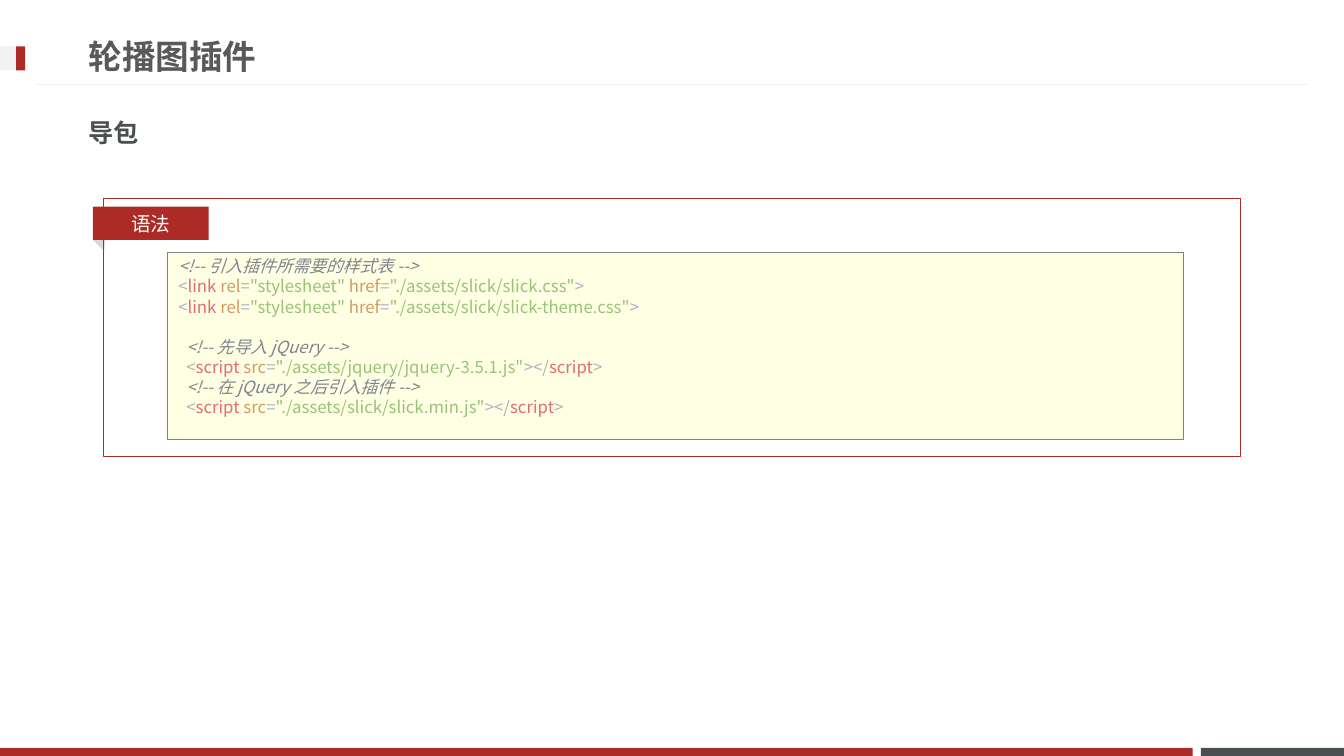
"""Builds the slide on importing the packages of a carousel plugin."""
from lxml import etree
from pptx import Presentation
from pptx.dml.color import RGBColor
from pptx.enum.shapes import MSO_CONNECTOR, MSO_SHAPE
from pptx.enum.text import MSO_ANCHOR as Anchor, PP_ALIGN as Align
from pptx.oxml.ns import qn
from pptx.util import Inches, Pt

RED, SLATE, PALE = "AD2B26", "49504F", "F2F2F2"
LATIN, CJK = "Calibri", "Noto Sans CJK JP"
PUNCTUATION, COMMENT, TAG, ATTRIBUTE, STRING = "ABB2BF", "7F848E", "E06C75", "D19A66", "98C379"


def block(place, fill=None, line=None, width=0.75, kind=MSO_SHAPE.RECTANGLE):
    shape = slide.shapes.add_shape(kind, *map(Inches, place))
    shape.shadow.inherit = False
    for paint, color in ((shape.fill, fill), (shape.line.fill, line)):
        if color:
            paint.solid()
            paint.fore_color.rgb = RGBColor.from_string(color)
        else:
            paint.background()
    if line:
        shape.line.width = Pt(width)
    return shape


def style(run, size, color, face, bold=False, italic=False):
    font = run.font
    font.size, font.name, font.bold, font.italic = Pt(size), face, bold, italic
    font.color.rgb = RGBColor.from_string(color)
    etree.SubElement(run._r.get_or_add_rPr(), qn("a:ea"), typeface=CJK)


deck = Presentation()
deck.slide_width, deck.slide_height = Inches(13.33), Inches(7.5)
slide = deck.slides.add_slide(deck.slide_layouts[6])

block((11.91, 7.42, 1.42, 0.08), SLATE)
block((0, 7.42, 11.83, 0.08), RED)
title_rule = slide.shapes.add_connector(
    MSO_CONNECTOR.STRAIGHT, Inches(12.98), Inches(0.84), Inches(0.35), Inches(0.84))
title_rule.line.color.rgb = RGBColor.from_string(PALE)
title_rule.line.width = Pt(0.75)
etree.SubElement(title_rule._element.spPr, qn("a:effectLst"))
block((0, 0.46, 0.25, 0.24), PALE)
block((0.16, 0.46, 0.09, 0.24), RED)

for wording, place, size, color, face in (
    ("轮播图插件", (0.78, 0.27, 9.59, 0.57), 24, "595959", LATIN),
    ("导包", (0.78, 1.03, 11.76, 0.57), 18, SLATE, CJK),
):
    heading = slide.shapes.add_textbox(*map(Inches, place)).text_frame
    heading.word_wrap = True
    heading.vertical_anchor = Anchor.MIDDLE
    heading.text = wording
    style(heading.paragraphs[0].runs[0], size, color, face, bold=True)

block((1.66, 2.5, 10.08, 1.86), "FFFFE4", "808080", 0.25)
fold = block((0.93, 2.36, 0.16, 0.09), "D9D9D9", kind=MSO_SHAPE.ISOSCELES_TRIANGLE)
fold.rotation = 44.2
block((1.03, 1.97, 11.27, 2.56), line=RED)
syntax_tab = block((0.92, 2.05, 1.15, 0.33), RED).text_frame
syntax_tab.vertical_anchor = Anchor.MIDDLE
syntax_tab.text = "语法"
syntax_tab.paragraphs[0].alignment = Align.CENTER
style(syntax_tab.paragraphs[0].runs[0], 14, "FFFFFF", LATIN)

link_start = [("<", PUNCTUATION), ("link ", TAG), ("rel", ATTRIBUTE), ("=", PUNCTUATION),
              ('"stylesheet" ', STRING), ("href", ATTRIBUTE), ("=", PUNCTUATION)]
link_end = [(">", PUNCTUATION)]
script_start = [("<", PUNCTUATION), ("script ", TAG), ("src", ATTRIBUTE), ("=", PUNCTUATION)]
script_end = [("></", PUNCTUATION), ("script", TAG), (">", PUNCTUATION)]
style_lines = [
    [("<!-- 引入插件所需要的样式表 -->", COMMENT)],
    link_start + [('"./assets/slick/slick.css"', STRING)] + link_end,
    link_start + [('"./assets/slick/slick-theme.css"', STRING)] + link_end,
]
script_lines = [
    [("<!-- 先导入 jQuery -->", COMMENT)],
    script_start + [('"./assets/jquery/jquery-3.5.1.js"', STRING)] + script_end,
    [("<!-- 在 jQuery 之后引入插件 -->", COMMENT)],
    script_start + [('"./assets/slick/slick.min.js"', STRING)] + script_end,
]

code = slide.shapes.add_textbox(Inches(1.1), Inches(2.48), Inches(7.71), Inches(1.72)).text_frame
code.word_wrap = True
code.vertical_anchor = Anchor.MIDDLE
code_lines = style_lines + script_lines
code.text = "\n".join("" for _ in code_lines)
for index, (paragraph, tokens) in enumerate(zip(code.paragraphs, code_lines)):
    in_script = index >= len(style_lines)
    paragraph.line_spacing = Pt(14.4)
    paragraph.space_before = Pt(14.4 if index == len(style_lines) else 0)
    indent = Inches(0.65 if in_script else 0.57)
    paragraph._p.get_or_add_pPr().set("marL", str(indent))
    for wording, color in tokens:
        token = paragraph.add_run()
        token.text = wording
        style(token, 12, color, CJK, italic=color == COMMENT)

deck.save("out.pptx")
